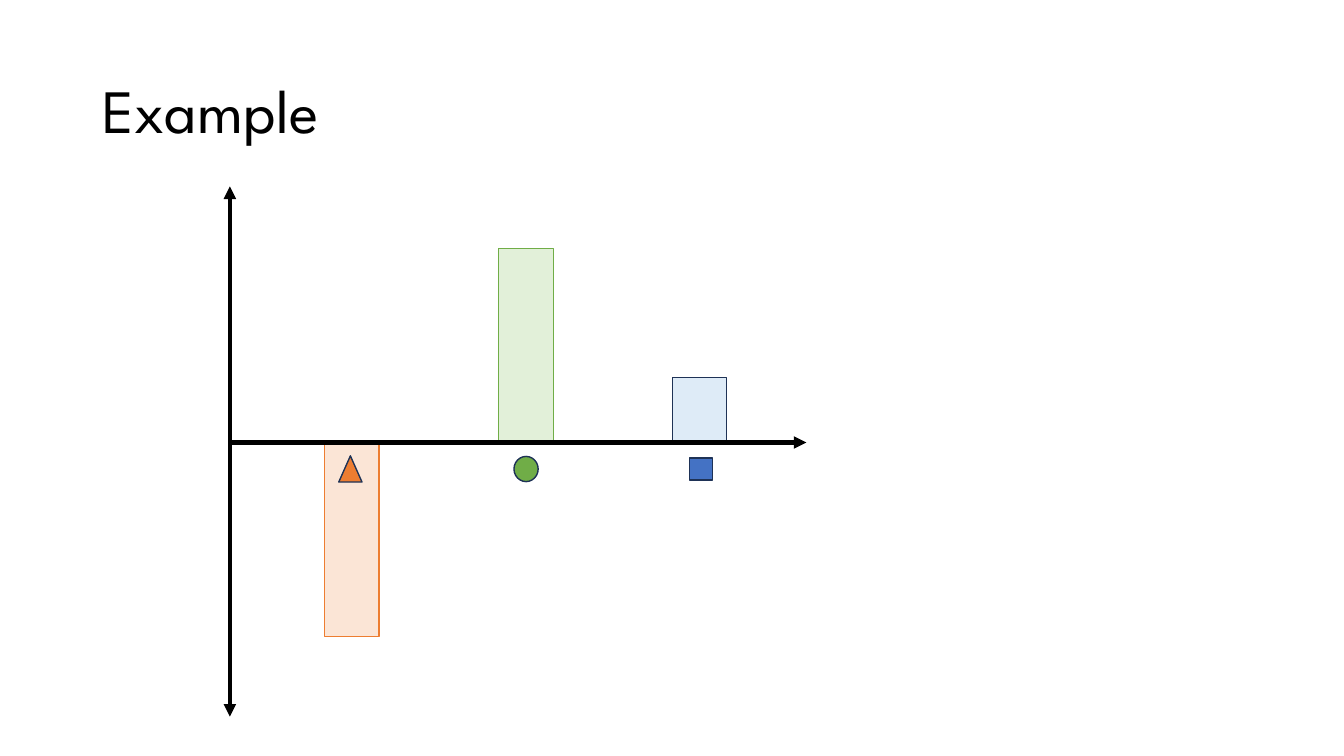
from dataclasses import dataclass

from lxml.etree import SubElement
from pptx import Presentation
from pptx.dml.color import RGBColor
from pptx.enum.shapes import MSO_CONNECTOR, MSO_SHAPE
from pptx.enum.text import MSO_ANCHOR
from pptx.oxml.ns import qn
from pptx.util import Pt


@dataclass(frozen=True)
class Theme:
    font: str = "League Spartan"
    title: int = 44
    axis: int = 3
    edge: int = 1
    black: str = "000000"
    navy: str = "1E3256"
    orange: str = "ED7D31"
    peach: str = "FBE5D6"
    green: str = "70AD47"
    mint: str = "E2F0D9"
    blue: str = "4472C4"
    sky: str = "DEEBF7"


THEME = Theme()
LEFT, BASE = 164.2, 316.1
UNIT, WIDE = 46.2, 39
MARK = 335


def color(code):
    return RGBColor.from_string(code)


def add_title(slide, text):
    box = slide.shapes.add_textbox(Pt(66), Pt(28.8), Pt(828), Pt(104.4))
    frame = box.text_frame
    frame.word_wrap = True
    frame.vertical_anchor = MSO_ANCHOR.MIDDLE
    frame.text = text
    line = frame.paragraphs[0]
    line.line_spacing = 0.9
    line.font.name = THEME.font
    line.font.size = Pt(THEME.title)
    line.font.color.rgb = color(THEME.black)


def add_form(slide, kind, left, top, width, height, fill, edge):
    form = slide.shapes.add_shape(kind, Pt(left), Pt(top), Pt(width), Pt(height))
    form.shadow.inherit = False
    form.fill.solid()
    form.fill.fore_color.rgb = color(fill)
    form.line.color.rgb = color(edge)
    form.line.width = Pt(THEME.edge)


def add_bar(slide, mid, value, fill, edge):
    top = BASE - max(value, 0) * UNIT
    add_form(slide, MSO_SHAPE.RECTANGLE, mid - WIDE / 2, top,
             WIDE, abs(value) * UNIT, fill, edge)


def add_mark(slide, kind, mid, width, height, fill):
    add_form(slide, kind, mid - width / 2, MARK - height / 2,
             width, height, fill, THEME.navy)


def add_axis(slide, start, end, heads):
    axis = slide.shapes.add_connector(
        MSO_CONNECTOR.STRAIGHT, *(Pt(value) for value in start + end))
    axis.line.color.rgb = color(THEME.black)
    axis.line.width = Pt(THEME.axis)
    for head in heads:
        SubElement(axis.line._get_or_add_ln(), qn(head), type="triangle")
    SubElement(axis._element.spPr, qn("a:effectLst"))


def main():
    deck = Presentation()
    deck.slide_width, deck.slide_height = Pt(960), Pt(540)
    slide = deck.slides.add_slide(deck.slide_layouts[6])
    add_title(slide, "Example")

    bars = [
        (251.3, -3, THEME.peach, THEME.orange),
        (375.8, 3, THEME.mint, THEME.green),
        (499.7, 1, THEME.sky, THEME.navy),
    ]
    marks = [
        (MSO_SHAPE.ISOSCELES_TRIANGLE, 250.3, 16.6, 18.7, THEME.orange),
        (MSO_SHAPE.OVAL, 375.8, 17.3, 18, THEME.green),
        (MSO_SHAPE.RECTANGLE, 500.8, 16.6, 15.8, THEME.blue),
    ]
    for bar in bars:
        add_bar(slide, *bar)
    for mark in marks:
        add_mark(slide, *mark)

    add_axis(slide, (LEFT, 511.9), (LEFT, 133.2), ("a:headEnd", "a:tailEnd"))
    add_axis(slide, (LEFT, BASE), (576, BASE), ("a:tailEnd",))
    deck.save("out.pptx")


if __name__ == "__main__":
    main()
